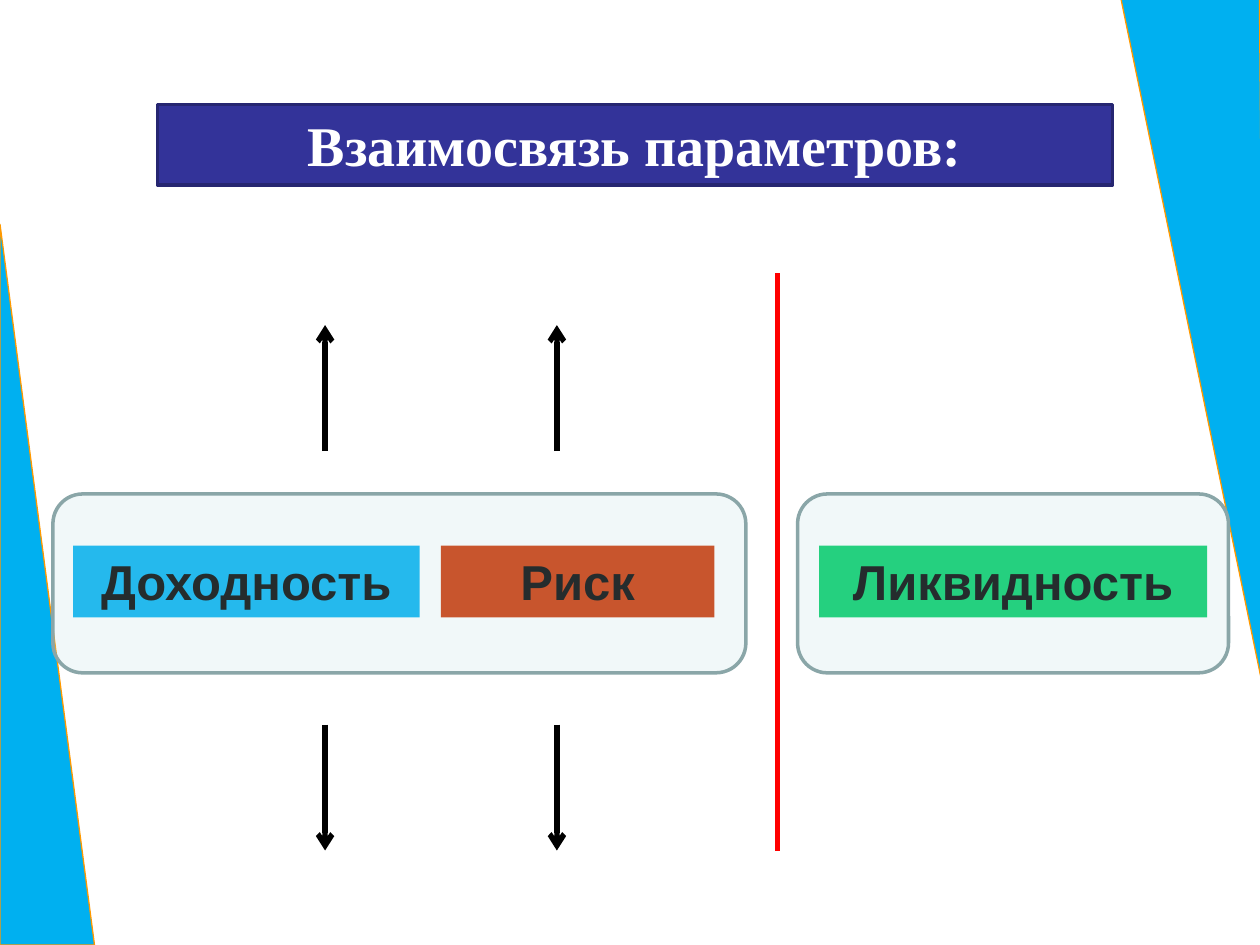
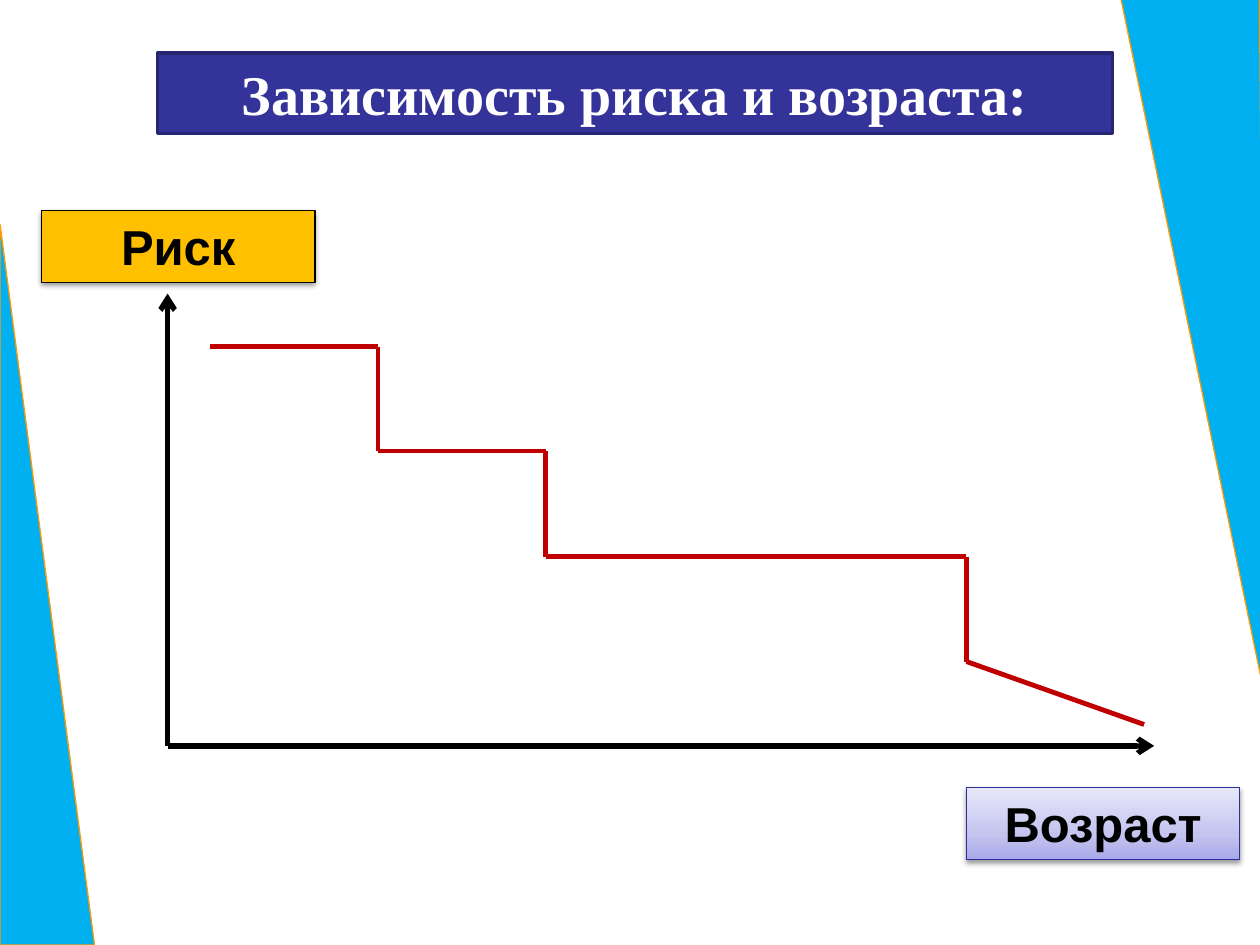
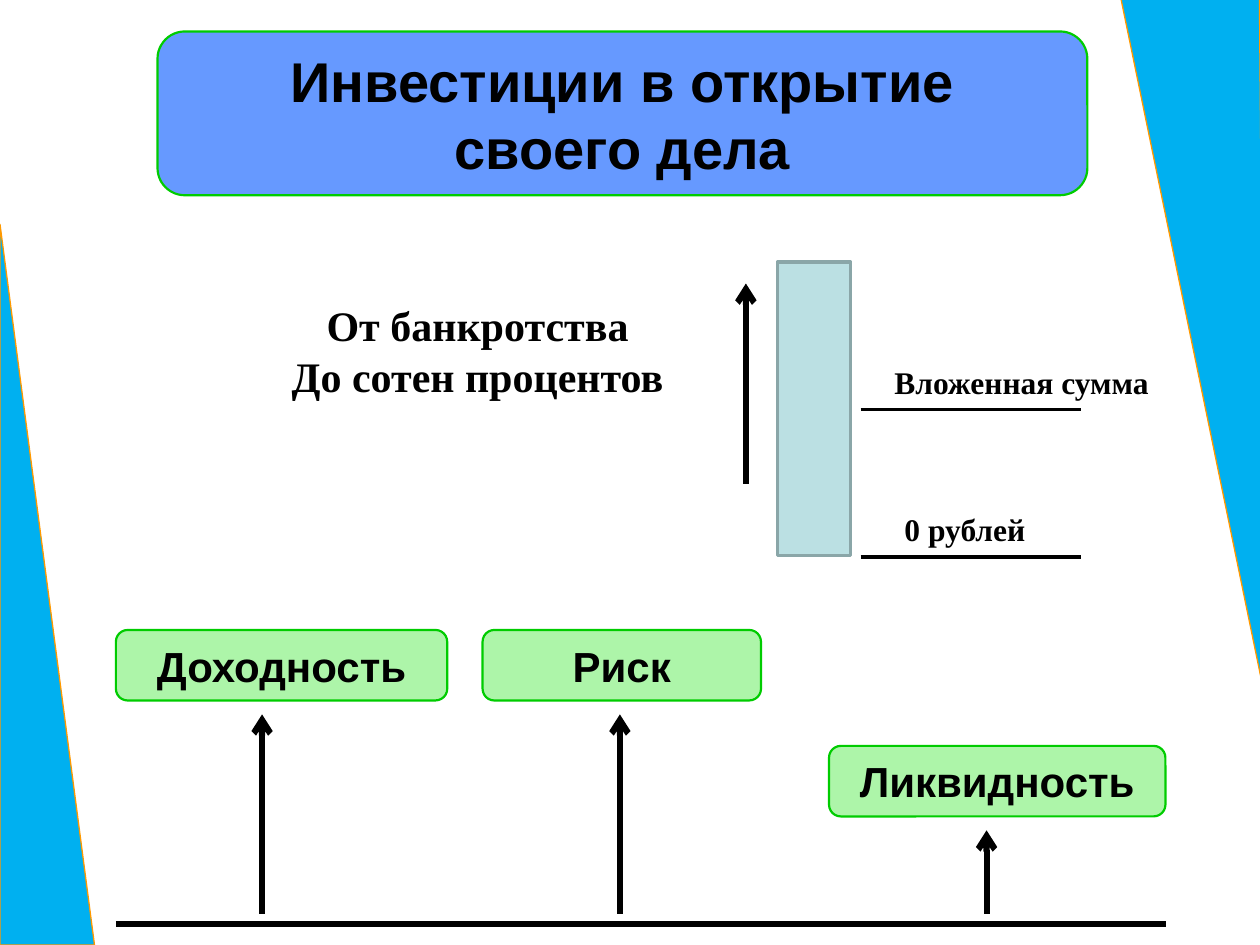
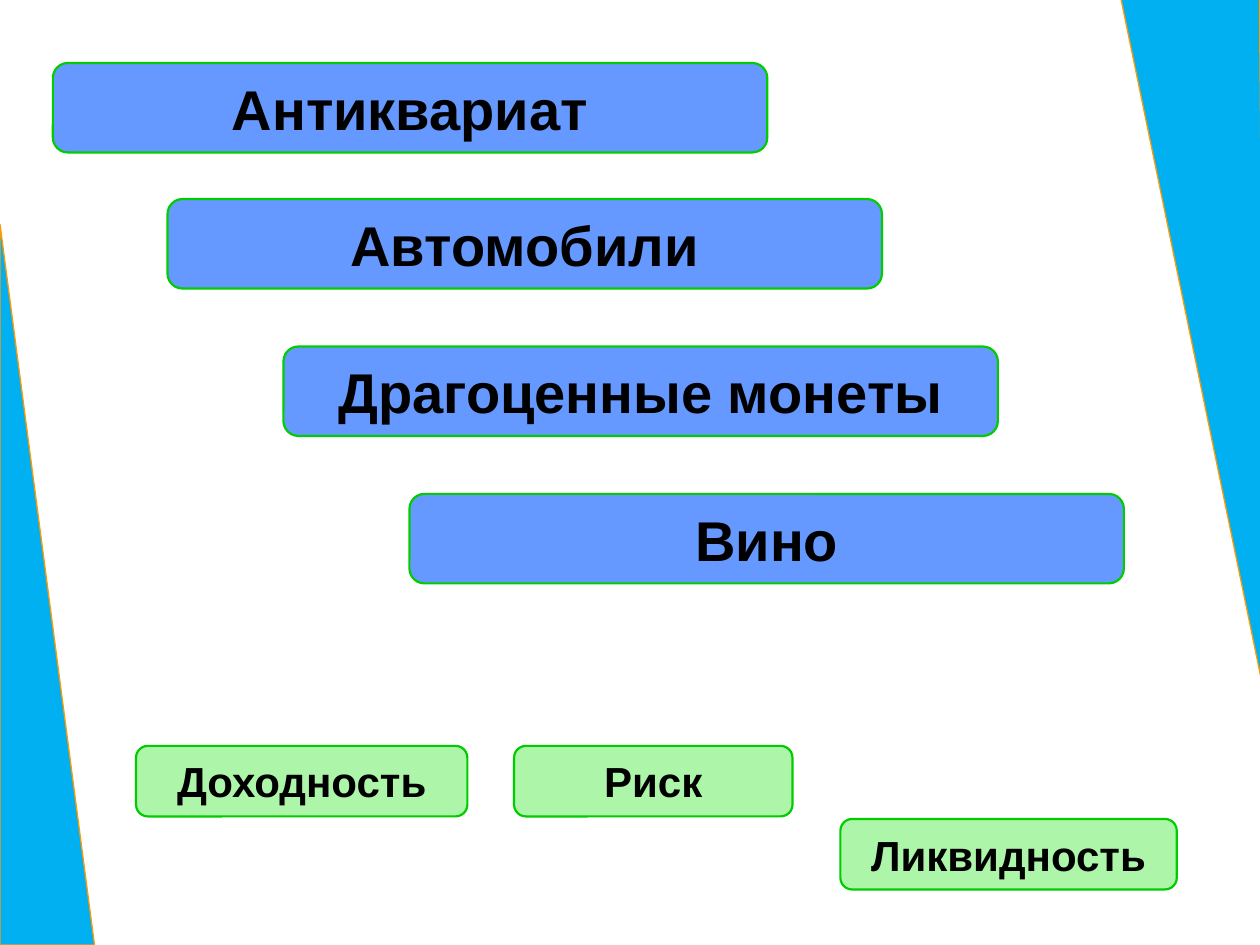
from itertools import pairwise
from lxml.etree import SubElement
from pptx import Presentation
from pptx.dml.color import RGBColor
from pptx.enum.shapes import MSO_CONNECTOR, MSO_SHAPE
from pptx.enum.text import MSO_ANCHOR, MSO_AUTO_SIZE, PP_ALIGN
from pptx.oxml.ns import qn
from pptx.util import Inches, Pt

# Shared colours and fonts
BLACK, WHITE, RED, STEP = "000000", "FFFFFF", "FF0000", "C00000"
SKY, ORANGE, NAVY, EDGE = "00B0F0", "FF9900", "333399", "262671"
BLUE, MINT, GREEN = "6699FF", "ADF5A9", "00CC00"
PALE, STEEL = "BBE0E3", "8AA6A8"
SANS, SERIF = "Arial", "Times New Roman"

# Slide 1: labels (text, left, width, fill), frames (left, width)
LABELS = [("Риск", 3.5, 2.17, "CC3300"),
          ("Ликвидность", 6.5, 3.08, "00CC66"),
          ("Доходность", 0.58, 2.75, SKY)]
FRAMES = [(0.42, 5.5), (6.33, 3.42)]
TRENDS = [2.58, 4.42]

# Slide 2: corner points of the risk line
STEPS = [(1.67, 2.75), (3, 2.75), (3, 3.58), (4.33, 3.58), (4.33, 4.42),
         (7.67, 4.42), (7.67, 5.25), (9.08, 5.75)]
ORIGIN = (1.33, 5.92)
GRADES = [(0, "A9A9E9"), (35, "C4C4EF"), (100, "E8E8FA")]

# Slides 3 and 4: tags (text, left, top, width), levels (text, left, line y, width)
RATES = [("Доходность", 0.92, 5, 2.63), ("Риск", 3.83, 5, 2.21),
         ("Ликвидность", 6.58, 5.92, 2.67)]
RISES = [(2.08, 5.67), (4.92, 5.67), (7.83, 6.59)]
LEVELS = [("Вложенная сумма", 7, 3.25, 3), ("0 рублей", 7.08, 4.42, 1.58)]
GOODS = [("Антиквариат", 0.42, 0.5), ("Автомобили", 1.33, 1.58),
         ("Драгоценные монеты", 2.25, 2.75), ("Вино", 3.25, 3.92)]
MARKS = [("Доходность", 1.08, 5.92, 2.63), ("Риск", 4.08, 5.92, 2.21),
         ("Ликвидность", 6.67, 6.5, 2.67)]


def rgb(code):
    return RGBColor.from_string(code)


def add(parent, tag, **attrs):
    return SubElement(parent, qn(tag), {k: str(v) for k, v in attrs.items()})


def write(shape, text, size, font=SANS, color=BLACK, align=PP_ALIGN.CENTER,
          anchor=MSO_ANCHOR.TOP):
    frame = shape.text_frame
    frame.word_wrap = True
    frame.auto_size = MSO_AUTO_SIZE.SHAPE_TO_FIT_TEXT
    frame.vertical_anchor = anchor
    frame.text = text
    for para in frame.paragraphs:
        para.alignment = align
        para.font.name, para.font.size = font, Pt(size)
        para.font.bold = True
        para.font.color.rgb = rgb(color)


def draw(slide, kind, box, fill, edge=None, width=1.0):
    shape = slide.shapes.add_shape(kind, *map(Inches, box))
    shape.shadow.inherit = False
    shape.fill.solid()
    shape.fill.fore_color.rgb = rgb(fill)
    if edge:
        shape.line.color.rgb = rgb(edge)
        shape.line.width = Pt(width)
    else:
        shape.line.fill.background()
    return shape


def line(slide, start, end, color=BLACK, width=3.0, arrow=False):
    link = slide.shapes.add_connector(
        MSO_CONNECTOR.STRAIGHT, *map(Inches, (*start, *end)))
    link.line.color.rgb = rgb(color)
    link.line.width = Pt(width)
    if arrow:
        add(link.line._get_or_add_ln(), "a:tailEnd", type="arrow")
    add(link._element.spPr, "a:effectLst")


def note(slide, box, text, size, align):
    shape = slide.shapes.add_textbox(*map(Inches, box))
    write(shape, text, size, SERIF, align=align)


def title(slide, text, top):
    bar = draw(slide, MSO_SHAPE.RECTANGLE, (1.25, top, 7.58, 0.64), NAVY, EDGE, 2)
    write(bar, text, 32, SERIF, WHITE)


def pill(slide, box, text, size, fill):
    shape = draw(slide, MSO_SHAPE.ROUNDED_RECTANGLE, box, fill, GREEN, 1.25)
    write(shape, text, size, anchor=MSO_ANCHOR.MIDDLE)


def tags(slide, items):
    for text, left, top, wide in items:
        pill(slide, (left, top, wide, 0.56), text, 24, MINT)


def cast(shape):
    """Give a soft shadow below the shape."""
    effects = shape._element.spPr.find(qn("a:effectLst"))
    shade = add(effects, "a:outerShdw", blurRad=Pt(3.1), dist=Pt(1.6),
                dir=5400000, rotWithShape=0)
    add(add(shade, "a:srgbClr", val=BLACK), "a:alpha", val=38000)


def blend(shape, grades):
    """Fill from the bottom up through the given stops."""
    shape.fill.gradient()
    shape.fill.gradient_angle = 90
    stops = shape._element.spPr.find(qn("a:gradFill")).find(qn("a:gsLst"))
    stops.clear()
    for pos, color in grades:
        add(add(stops, "a:gs", pos=pos * 1000), "a:srgbClr", val=color)


def start(deck):
    """New slide with the two side wedges."""
    slide = deck.slides.add_slide(deck.slide_layouts[6])
    wedge = MSO_SHAPE.RIGHT_TRIANGLE
    right = draw(slide, wedge, (6.68, 2.22, 5.58, 1.1), SKY, ORANGE, 0.75)
    right.rotation = 89.5
    right._element.spPr.find(qn("a:xfrm")).set("flipV", "1")
    draw(slide, wedge, (0, 1.78, 0.75, 5.72), SKY, ORANGE, 0.75)
    return slide


def links(deck):
    slide = start(deck)
    title(slide, "Взаимосвязь параметров:", 0.83)
    for text, left, wide, fill in LABELS:
        write(draw(slide, MSO_SHAPE.RECTANGLE, (left, 4.33, wide, 0.57), fill),
              text, 28)
    # Translucent frames over the labels
    for left, wide in FRAMES:
        frame = draw(slide, MSO_SHAPE.ROUNDED_RECTANGLE,
                     (left, 3.92, wide, 1.42), PALE, STEEL, 2)
        color = frame._element.spPr.find(qn("a:solidFill"))[0]
        add(color, "a:alpha", val=20000)
    for x in TRENDS:
        line(slide, (x, 3.58), (x, 2.58), arrow=True)
        line(slide, (x, 5.75), (x, 6.75), arrow=True)
    line(slide, (6.17, 2.17), (6.17, 6.75), RED, 2.5)


def ages(deck):
    slide = start(deck)
    title(slide, "Зависимость риска и возраста:", 0.42)
    # Axes with their names
    risk = draw(slide, MSO_SHAPE.RECTANGLE, (0.33, 1.67, 2.17, 0.57),
                "FFC000", BLACK, 0.75)
    age = draw(slide, MSO_SHAPE.RECTANGLE, (7.67, 6.25, 2.17, 0.57),
               WHITE, "2F2F98", 0.75)
    blend(age, GRADES)
    for shape, text in ((risk, "Риск"), (age, "Возраст")):
        cast(shape)
        write(shape, text, 28)
    for end in ((1.33, 2.33), (9.16, 5.92)):
        line(slide, ORIGIN, end, arrow=True)
    for here, there in pairwise(STEPS):
        line(slide, here, there, STEP, 2.75)


def venture(deck):
    slide = start(deck)
    pill(slide, (1.25, 0.25, 7.38, 1.3),
         "Инвестиции в открытие\nсвоего дела", 32, BLUE)
    tags(slide, RATES)
    line(slide, (0.92, 7.33), (9.25, 7.33), width=3.5)
    for x, top in RISES:
        line(slide, (x, 7.25), (x, top), width=3.5, arrow=True)
    # Column of invested money
    draw(slide, MSO_SHAPE.RECTANGLE, (6.17, 2.08, 0.58, 2.33), PALE, STEEL, 2)
    line(slide, (5.92, 3.84), (5.92, 2.25), width=3.5, arrow=True)
    note(slide, (2, 2.33, 3.58, 0.91),
         "От банкротства\nДо сотен процентов", 24, PP_ALIGN.CENTER)
    for text, left, y, wide in LEVELS:
        line(slide, (6.83, y), (8.58, y), width=2.25)
        note(slide, (left, y - 0.42, wide, 0.4), text, 18, PP_ALIGN.LEFT)


def goods(deck):
    slide = start(deck)
    for text, left, top in GOODS:
        pill(slide, (left, top, 5.67, 0.71), text, 32, BLUE)
    tags(slide, MARKS)


def main():
    deck = Presentation()
    deck.slide_width, deck.slide_height = Inches(10), Inches(7.5)
    for build in (links, ages, venture, goods):
        build(deck)
    deck.save("out.pptx")


if __name__ == "__main__":
    main()
